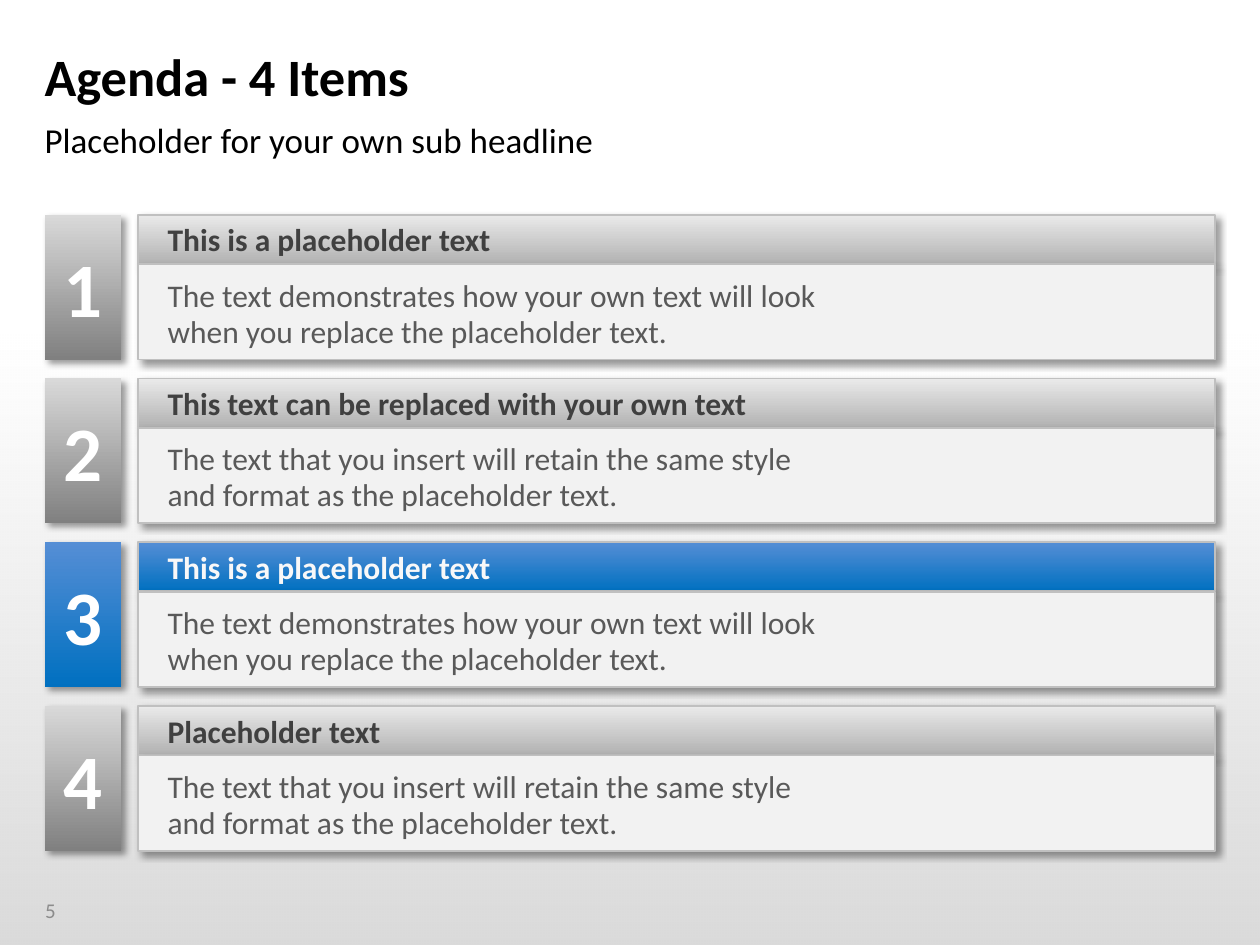
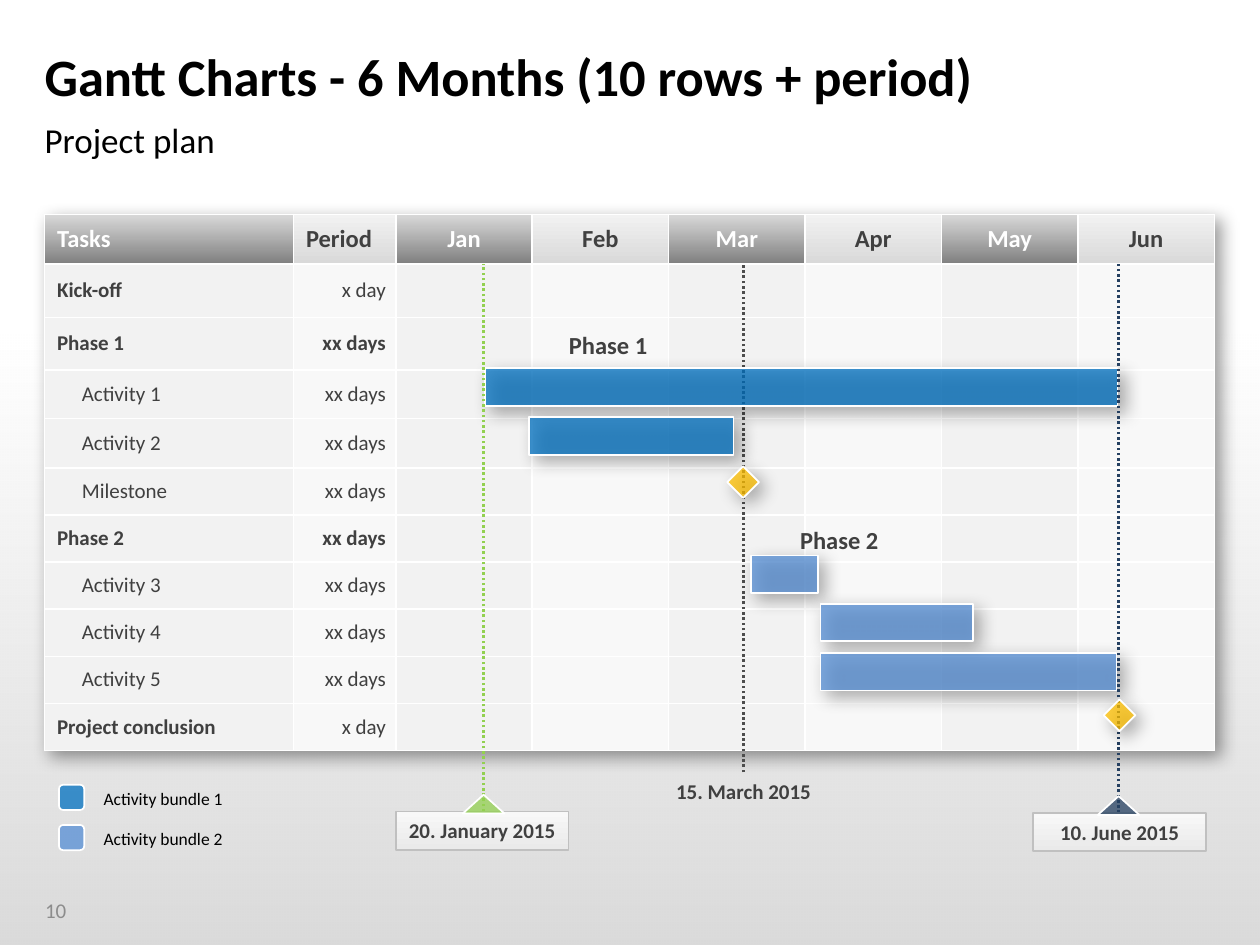
from dataclasses import dataclass
from itertools import accumulate

from lxml.etree import SubElement
from pptx import Presentation
from pptx.dml.color import RGBColor
from pptx.enum.dml import MSO_LINE_DASH_STYLE as Dash
from pptx.enum.shapes import MSO_CONNECTOR, MSO_SHAPE as Preset
from pptx.enum.text import MSO_ANCHOR as Anchor, PP_ALIGN as Align
from pptx.oxml.ns import qn
from pptx.util import Cm, Pt

AGENDA = {
    "title": "Agenda - 4 Items",
    "subtitle": "Placeholder for your own sub headline",
    "number": "5",
    "active": 3,
    "items": [
        ("This is a placeholder text",
         "The text demonstrates how your own text will look\nwhen you replace the placeholder text."),
        ("This text can be replaced with your own text",
         "The text that you insert will retain the same style\nand format as the placeholder text."),
        ("This is a placeholder text",
         "The text demonstrates how your own text will look\nwhen you replace the placeholder text."),
        ("Placeholder text",
         "The text that you insert will retain the same style\nand format as the placeholder text."),
    ],
}

GANTT = {
    "title": "Gantt Charts - 6 Months (10 rows + period)",
    "subtitle": "Project plan",
    "number": "10",
    "header": ["Tasks", "Period", "Jan", "Feb", "Mar", "Apr", "May", "Jun"],
    # task, period, level
    "tasks": [
        ("Kick-off", "x day", "event"),
        ("Phase 1", "xx days", "phase"),
        ("Activity 1", "xx days", "activity"),
        ("Activity 2", "xx days", "activity"),
        ("Milestone", "xx days", "activity"),
        ("Phase 2", "xx days", "phase"),
        ("Activity 3", "xx days", "activity"),
        ("Activity 4", "xx days", "activity"),
        ("Activity 5", "xx days", "activity"),
        ("Project conclusion", "x day", "event"),
    ],
    "column_widths": [5.02, 2.06] + [2.75] * 6,
    "row_heights": [1, 1.08, 1.06, 0.98, 0.99] + [0.95] * 6,
    # left, top, width, bundle
    "bars": [
        (9.78, 7.42, 12.75, 0),
        (10.67, 8.41, 4.12, 0),
        (15.14, 11.2, 1.35, 1),
        (16.54, 12.17, 3.07, 1),
        (16.54, 13.16, 5.97, 1),
    ],
    # text, centre, top
    "phase_labels": [("Phase 1", 12.26, 6.65), ("Phase 2", 16.92, 10.59)],
    "milestones": [(14.66, 9.4), (22.25, 14.1)],
    "middle_date": ("15. March 2015", 14.99),
    "bundles": ["Activity bundle 1", "Activity bundle 2"],
}


@dataclass(frozen=True)
class Theme:
    font: str = "Calibri"
    black: str = "000000"
    white: str = "FFFFFF"
    dark: str = "404040"
    body: str = "595959"
    muted: str = "8C8C8C"
    border: str = "C0C0C0"
    panel: str = "F2F2F2"
    pale: str = "F8F8F8"
    march: str = "4D4D4D"
    january: str = "92D050"
    june: str = "254061"
    milestone: str = "FFC000"
    bundles: tuple = ("0070C0", "558ED5")
    blue_fade: tuple = ("558ED5", "0070C0")
    grey_fade: tuple = ("D9D9D9", "808080")
    light_fade: tuple = ("F2F2F2", "D9D9D9")
    bar_fade: tuple = ("EAEAEA", "B2B2B2")
    tag_fade: tuple = ("F8F8F8", "EAEAEA")


THEME = Theme()
DATE_TAGS = [  # text, line position, tag left, tag top, colour
    ("20. January 2015", 9.75, 7.98, 16.36, THEME.january),
    ("10. June 2015", 22.55, 20.83, 16.39, THEME.june),
]
STYLES = {  # size, bold, colour
    "title": (30, True, THEME.black),
    "subtitle": (20, False, THEME.black),
    "page": (12, False, THEME.muted),
    "number": (44, True, THEME.white),
    "heading": (18, True, THEME.dark),
    "active heading": (18, True, THEME.pale),
    "body": (18, False, THEME.body),
    "header dark": (14, True, THEME.white),
    "header light": (14, True, THEME.dark),
    "cell": (12, False, THEME.dark),
    "cell bold": (12, True, THEME.dark),
    "phase": (14, True, THEME.dark),
    "legend": (10, False, THEME.black),
}
CARD_SHADOW = (4, 3)  # blur and distance in points
FLOAT_SHADOW = (10, 5)
NO_INSETS = (0, 0, 0, 0)


def rgb(colour):
    return RGBColor.from_string(colour)


def paint(fill, colours):
    """Fill with one colour, or with a top-to-bottom fade for a pair."""
    if isinstance(colours, str):
        fill.solid()
        fill.fore_color.rgb = rgb(colours)
        return
    fill.gradient()
    fill.gradient_angle = 270
    for stop, colour in zip(fill.gradient_stops, colours):
        stop.color.rgb = rgb(colour)


def add_shadow(effects, blur, distance):
    shadow = SubElement(effects, qn("a:outerShdw"), blurRad=str(Pt(blur)), dist=str(Pt(distance)),
                        dir="2700000", algn="tl", rotWithShape="0")
    colour = SubElement(shadow, qn("a:srgbClr"), val=THEME.black)
    SubElement(colour, qn("a:alpha"), val="40000")


def add_box(shapes, preset, bounds, colours, border=None, opacity=(), shadow=None):
    shape = shapes.add_shape(preset, *map(Cm, bounds))
    shape.shadow.inherit = False
    properties = shape._element.spPr
    paint(shape.fill, colours)
    for colour, percent in zip(properties.iter(qn("a:srgbClr")), opacity):
        SubElement(colour, qn("a:alpha"), val=str(percent * 1000))
    if border:
        shape.line.color.rgb = rgb(border)
        shape.line.width = Pt(1)
    else:
        shape.line.fill.background()
    if shadow:
        add_shadow(properties.find(qn("a:effectLst")), *shadow)
    return shape


def style_text(frame, text, style, align=Align.LEFT, spacing=1.0):
    size, bold, colour = STYLES[style]
    paragraph = frame.paragraphs[0]
    paragraph.text = text
    paragraph.alignment = align
    paragraph.line_spacing = spacing
    for run in paragraph.runs:
        for name, value in {"name": THEME.font, "size": Pt(size), "bold": bold}.items():
            setattr(run.font, name, value)
        run.font.color.rgb = rgb(colour)


def set_insets(target, insets):
    for side, inset in zip(("left", "top", "right", "bottom"), insets):
        setattr(target, f"margin_{side}", Cm(inset))


def write(shape, text, style, insets=NO_INSETS, anchor=Anchor.MIDDLE, **layout):
    frame = shape.text_frame
    frame.word_wrap = True
    frame.vertical_anchor = anchor
    set_insets(frame, insets)
    style_text(frame, text, style, **layout)


def add_label(shapes, bounds, text, style, **layout):
    write(shapes.add_textbox(*map(Cm, bounds)), text, style, **layout)


def add_dotted_line(shapes, x, bottom, colour):
    line = shapes.add_connector(MSO_CONNECTOR.STRAIGHT, Cm(x), Cm(bottom), Cm(x), Cm(5.33))
    line.line.color.rgb = rgb(colour)
    line.line.width = Pt(1.5)
    line.line.dash_style = Dash.ROUND_DOT
    SubElement(line._element.spPr, qn("a:effectLst"))


def start_slide(presentation, content):
    """Add a slide with the shared background, titles and page number."""
    slide = presentation.slides.add_slide(presentation.slide_layouts[6])
    shapes = slide.shapes
    paint(slide.background.fill, THEME.white)
    add_box(shapes, Preset.RECTANGLE, (0, 6.58, 25.4, 12.47), (THEME.black, THEME.black), opacity=(0, 15))
    add_label(shapes, (0.66, 17.83, 1.63, 1.02), content["number"], "page", insets=(0.25, 0.13, 0.25, 0.13))
    add_label(shapes, (0.9, 0.67, 23.6, 1.7), content["title"], "title", insets=(0, 0.13, 0.25, 0.13))
    add_label(shapes, (0.9, 2.38, 23.6, 0.95), content["subtitle"], "subtitle", anchor=Anchor.TOP)
    return shapes


def build_agenda(presentation):
    shapes = start_slide(presentation, AGENDA)
    card = {"border": THEME.border, "shadow": CARD_SHADOW}
    for number, (heading, body) in enumerate(AGENDA["items"], 1):
        active = number == AGENDA["active"]
        top = 4.33 + 3.3 * (number - 1)
        item = shapes.add_group_shape().shapes
        bar = add_box(item, Preset.RECTANGLE, (2.78, top, 21.72, 0.99),
                      THEME.blue_fade if active else THEME.bar_fade, **card)
        write(bar, heading, "active heading" if active else "heading", insets=(0.6, 0, 0, 0))
        panel = add_box(item, Preset.RECTANGLE, (2.78, top + 1, 21.72, 1.92), THEME.panel, **card)
        write(panel, body, "body", insets=(0.6, 0.3, 0.4, 0.2), spacing=0.95)
        badge = add_box(item, Preset.RECTANGLE, (0.91, top, 1.54, 2.92),
                        THEME.blue_fade if active else THEME.grey_fade, shadow=CARD_SHADOW)
        write(badge, str(number), "number", align=Align.CENTER)


def format_cell(cell, text, style, colours, insets, align=Align.LEFT):
    properties = cell._tc.get_or_add_tcPr()
    for side in ("lnL", "lnR", "lnT", "lnB"):
        border = SubElement(properties, qn(f"a:{side}"), w=str(Pt(1)))
        SubElement(SubElement(border, qn("a:solidFill")), qn("a:srgbClr"), val=THEME.white)
    paint(cell.fill, colours)
    set_insets(cell, insets)
    cell.vertical_anchor = Anchor.MIDDLE
    style_text(cell.text_frame, text, style, align)
    if not text:
        cell.text_frame.paragraphs[0]._p.get_or_add_endParaRPr().set("sz", "1200")


def add_schedule(shapes):
    widths, heights = GANTT["column_widths"], GANTT["row_heights"]
    bounds = (0.9, 4.32, sum(widths), sum(heights))
    table = shapes.add_table(len(heights), len(widths), *map(Cm, bounds)).table
    table.first_row = table.horz_banding = False
    effects = SubElement(table._tbl.tblPr, qn("a:effectLst"))
    table._tbl.tblPr.insert(0, effects)
    add_shadow(effects, *FLOAT_SHADOW)
    for column, width in zip(table.columns, widths):
        column.width = Cm(width)
    for row, height in zip(table.rows, heights):
        row.height = Cm(height)

    for column, text in enumerate(GANTT["header"]):
        dark, month = column % 2 == 0, column > 1
        side = 0 if month else 0.25
        format_cell(table.cell(0, column), text, "header dark" if dark else "header light",
                    THEME.grey_fade if dark else THEME.light_fade, (side, 0.13, side, 0.13),
                    Align.CENTER if month else Align.LEFT)
    for row, (task, period, level) in enumerate(GANTT["tasks"], 1):
        activity = level == "activity"
        format_cell(table.cell(row, 0), task, "cell" if activity else "cell bold", THEME.panel,
                    (0.75 if activity else 0.25, 0.05, 0.05, 0.05))
        format_cell(table.cell(row, 1), period, "cell bold" if level == "phase" else "cell",
                    THEME.pale, (0.1, 0.05, 0.2, 0.05), Align.RIGHT)
        for column in range(2, len(widths)):
            format_cell(table.cell(row, column), "", "cell",
                        THEME.pale if column % 2 else THEME.panel, NO_INSETS)


def build_gantt(presentation):
    shapes = start_slide(presentation, GANTT)
    glass = {"border": THEME.white, "opacity": (75,)}
    add_schedule(shapes)
    for text, centre, top in GANTT["phase_labels"]:
        add_label(shapes, (centre - 1.5, top, 3, 0.6), text, "phase", align=Align.CENTER, anchor=Anchor.TOP)

    date, x = GANTT["middle_date"]
    group = shapes.add_group_shape().shapes
    add_dotted_line(group, x, 15.57, THEME.march)
    add_label(group, (x - 1.74, 15.7, 3.48, 0.51), date, "cell bold", align=Align.CENTER)

    for left, top, width, bundle in GANTT["bars"]:
        add_box(shapes, Preset.RECTANGLE, (left, top, width, 0.76), THEME.bundles[bundle],
                shadow=FLOAT_SHADOW, **glass)
    for date, x, left, top, colour in DATE_TAGS:
        group = shapes.add_group_shape().shapes
        add_dotted_line(group, x, top, colour)
        tag = add_box(group, Preset.RECTANGLE, (left, top, 3.48, 0.77), THEME.tag_fade, THEME.border)
        write(tag, date, "cell bold", align=Align.CENTER)
        add_box(group, Preset.ISOSCELES_TRIANGLE, (x - 0.42, top - 0.34, 0.84, 0.38), colour, **glass)
    for left, top in GANTT["milestones"]:
        add_box(shapes, Preset.DIAMOND, (left, top, 0.64, 0.64), THEME.milestone, shadow=FLOAT_SHADOW, **glass)

    legend = shapes.add_group_shape().shapes
    tops = accumulate([0.81] * (len(GANTT["bundles"]) - 1), initial=15.82)
    for text, colour, top in zip(GANTT["bundles"], THEME.bundles, tops):
        add_box(legend, Preset.ROUNDED_RECTANGLE, (1.19, top, 0.51, 0.51), colour, **glass)
        add_label(legend, (2.09, top + 0.07, 3, 0.43), text, "legend", anchor=Anchor.TOP)


def main():
    presentation = Presentation()
    presentation.slide_width, presentation.slide_height = Cm(25.4), Cm(19.05)
    build_agenda(presentation)
    build_gantt(presentation)
    presentation.save("out.pptx")


if __name__ == "__main__":
    main()
